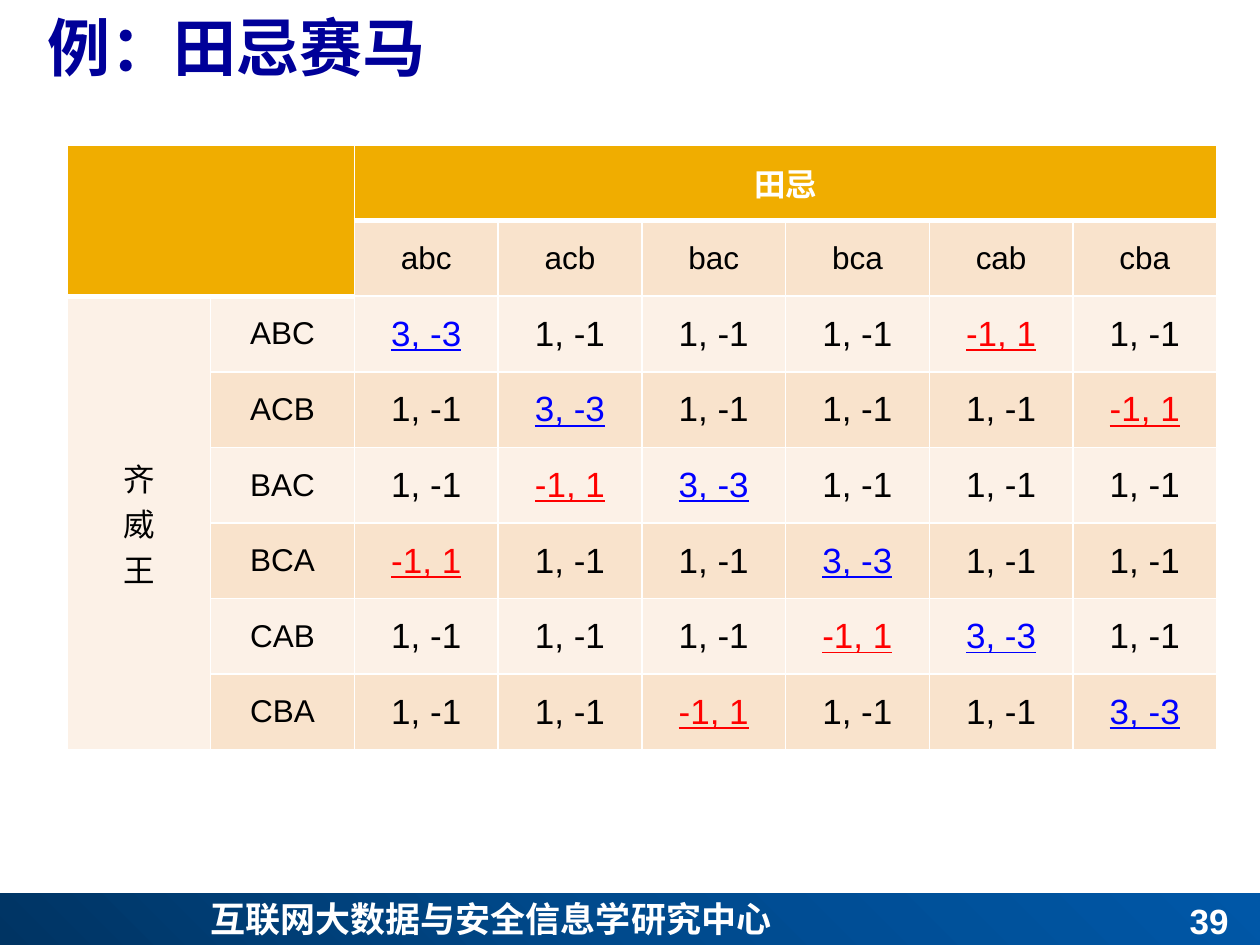
from lxml import etree
from pptx import Presentation, util as u
from pptx.dml.color import RGBColor
from pptx.enum import shapes, text
from pptx.oxml import parse_xml
from pptx.oxml.ns import nsdecls, qn

PX = u.Inches(1) / 126
COLORS = {
    "title": "000099", "white": "FFFFFF", "black": "000000",
    "header": "F0AD00", "dark_band": "F9E3CC", "light_band": "FCF1E7",
    "qi_sweeps": "0000FF", "tian_wins": "FF0000",
    "footer_start": "003463", "footer_middle": "004A8D", "footer_end": "0057A7",
}
LATIN, CJK = "Arial", "Noto Sans CJK SC"
TIAN_ORDERS = ["abc", "acb", "bac", "bca", "cab", "cba"]
# Tian Ji wins only by answering A with c, B with a and C with b.
WINNING_REPLY = str.maketrans("ABC", "cab")


def px(length):
    return u.Emu(round(length * PX))


def write(frame, words, size, color, align, bold=False, underline=False, font=LATIN):
    frame.text = words
    for paragraph in frame.paragraphs:
        paragraph.alignment = align
        for run in paragraph.runs:
            run.font.size = u.Pt(size)
            run.font.name = font
            run.font.bold = bold
            run.font.underline = underline
            run.font.color.rgb = RGBColor.from_string(COLORS[color])
            east_asian = etree.Element(qn("a:ea"), typeface=CJK)
            run.font._element.find(qn("a:latin")).addnext(east_asian)


def add_label(slide, box, words, size, color, align, anchor, font=LATIN):
    label = slide.shapes.add_textbox(*map(px, box)).text_frame
    label.word_wrap = True
    label.vertical_anchor = anchor
    write(label, words, size, color, align, bold=True, font=font)


def add_title(slide, box):
    add_label(slide, box, "例：田忌赛马", 36, "title",
              text.PP_ALIGN.LEFT, text.MSO_ANCHOR.MIDDLE)


def add_footer(slide, box):
    left, top, width, height = box
    band = slide.shapes.add_shape(shapes.MSO_SHAPE.RECTANGLE, *map(px, box))
    band.shadow.inherit = False
    band.line.fill.background()
    stops = "".join(
        f'<a:gs pos="{position}"><a:srgbClr val="{COLORS[name]}"/></a:gs>'
        for position, name in [(0, "footer_start"), (50000, "footer_middle"),
                               (100000, "footer_end")])
    gradient = parse_xml(
        f'<a:gradFill {nsdecls("a")} rotWithShape="1"><a:gsLst>{stops}</a:gsLst>'
        '<a:path path="circle"><a:fillToRect t="100000" r="100000"/></a:path></a:gradFill>')
    band._element.spPr.find(qn("a:prstGeom")).addnext(gradient)

    add_label(slide, (left + 198, top - 2, 863, height), "互联网大数据与安全信息学研究中心",
              20, "white", text.PP_ALIGN.JUSTIFY, text.MSO_ANCHOR.MIDDLE, CJK)
    add_label(slide, (left + 948, top, 293, height), "39", 20, "white",
              text.PP_ALIGN.RIGHT, text.MSO_ANCHOR.BOTTOM)


def edge_width(column, edge):
    """Points of the horizontal rule: thick where the header ends."""
    return 3 if edge == (2 if column < 2 else 1) else 1


def style_cell(cell, row, column, fill):
    properties = cell._tc.get_or_add_tcPr()
    widths = {"L": 1, "R": 1, "T": edge_width(column, row),
              "B": edge_width(column, row + 1)}
    for side, width in widths.items():
        properties.append(parse_xml(
            f'<a:ln{side} {nsdecls("a")} w="{u.Pt(width)}"><a:solidFill>'
            f'<a:srgbClr val="{COLORS["white"]}"/></a:solidFill></a:ln{side}>'))
    cell.fill.solid()
    cell.fill.fore_color.rgb = RGBColor.from_string(COLORS[fill])
    cell.vertical_anchor = text.MSO_ANCHOR.MIDDLE


def payoff(qi_order, tian_order):
    if qi_order.lower() == tian_order:
        return "3, -3", "qi_sweeps"
    if qi_order.translate(WINNING_REPLY) == tian_order:
        return "-1, 1", "tian_wins"
    return "1, -1", "black"


def add_payoff_table(slide, box):
    table = slide.shapes.add_table(8, 8, *map(px, box)).table
    center = text.PP_ALIGN.CENTER
    for row in range(8):
        for column in range(8):
            if row == 0 or (row == 1 and column < 2):
                fill = "header"
            else:
                fill = "dark_band" if row % 2 and column else "light_band"
            style_cell(table.cell(row, column), row, column, fill)

    table.cell(0, 0).merge(table.cell(1, 1))
    table.cell(0, 2).merge(table.cell(0, 7))
    table.cell(2, 0).merge(table.cell(7, 0))
    write(table.cell(0, 2).text_frame, "田忌", 18, "white", center, bold=True)
    write(table.cell(2, 0).text_frame, "齐\n威\n王", 18, "black", center)

    for column, tian_order in enumerate(TIAN_ORDERS, 2):
        write(table.cell(1, column).text_frame, tian_order, 18, "black", center)
    for row, qi_order in enumerate(map(str.upper, TIAN_ORDERS), 2):
        write(table.cell(row, 1).text_frame, qi_order, 18, "black", center)
        for column, tian_order in enumerate(TIAN_ORDERS, 2):
            score, color = payoff(qi_order, tian_order)
            write(table.cell(row, column).text_frame, score, 20, color, center,
                  underline=color != "black")


def main():
    deck = Presentation()
    deck.slide_width, deck.slide_height = px(1260), px(945)
    slide = deck.slides.add_slide(deck.slide_layouts[6])
    add_footer(slide, (0, 893, 1260, 55))
    add_title(slide, (35, -4, 1225, 100))
    add_payoff_table(slide, (67, 145, 1150, 605))
    deck.save("out.pptx")


if __name__ == "__main__":
    main()
